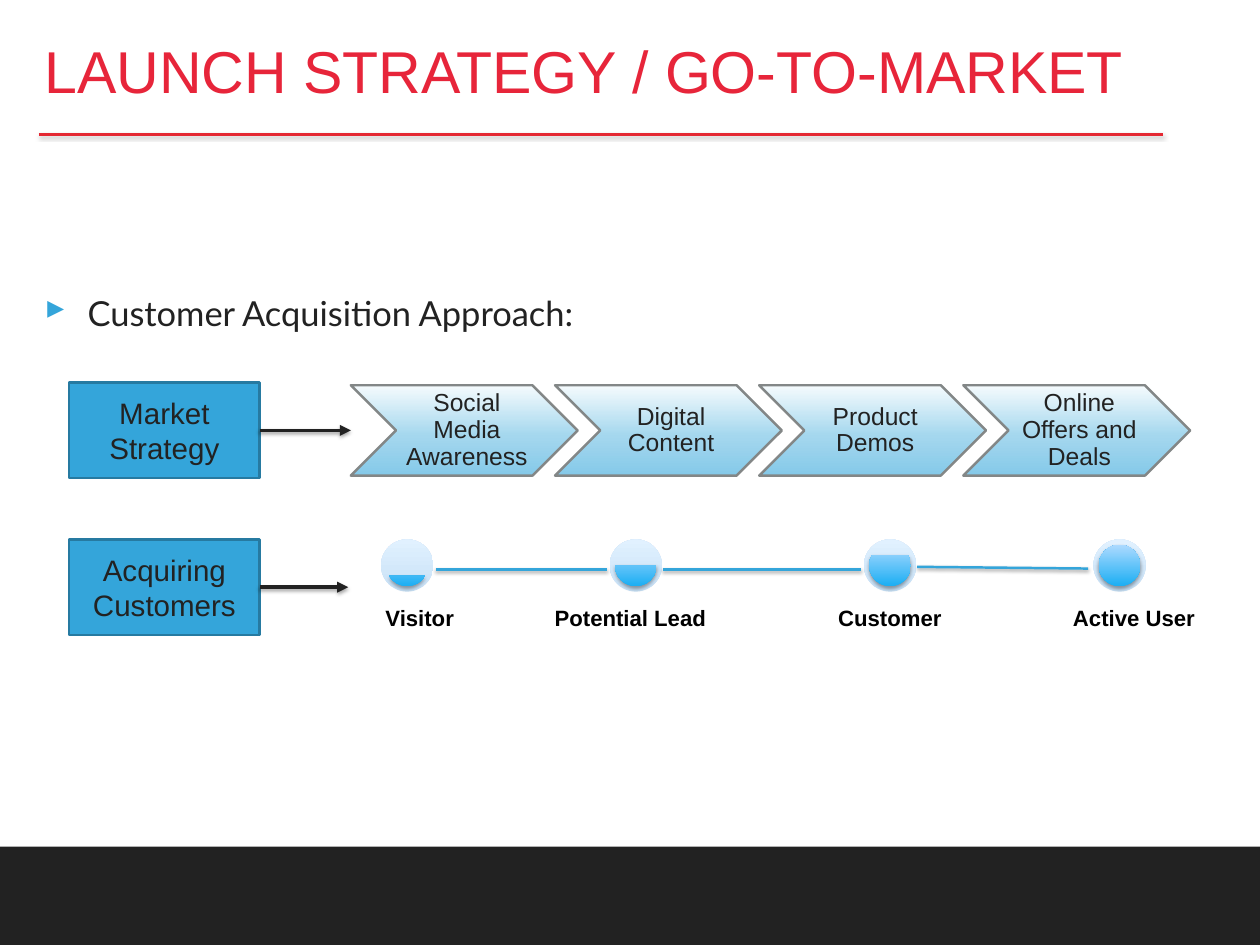
from lxml import etree
from pptx import Presentation
from pptx.dml.color import RGBColor
from pptx.enum.shapes import MSO_CONNECTOR, MSO_SHAPE
from pptx.enum.text import MSO_ANCHOR, PP_ALIGN
from pptx.oxml.ns import qn
from pptx.util import Inches, Pt

RECT, CHEVRON = MSO_SHAPE.RECTANGLE, MSO_SHAPE.CHEVRON
OVAL, CHORD = MSO_SHAPE.OVAL, MSO_SHAPE.CHORD
STRAIGHT = MSO_CONNECTOR.STRAIGHT
TOP, MIDDLE, BOTTOM = MSO_ANCHOR.TOP, MSO_ANCHOR.MIDDLE, MSO_ANCHOR.BOTTOM
LEFT, CENTER = PP_ALIGN.LEFT, PP_ALIGN.CENTER
RIGHT_SIDE = 3

INK = RGBColor(0x22, 0x22, 0x22)
BLACK = RGBColor(0, 0, 0)
RED = RGBColor(0xE7, 0x25, 0x3A)
RULE = RGBColor(0xE4, 0x28, 0x32)
BLUE = RGBColor(0x34, 0xA5, 0xDA)
NAVY = RGBColor(0x26, 0x7A, 0xA1)
GREY = RGBColor(0x83, 0x87, 0x87)
SKY = [(0, RGBColor(0xF5, 0xFB, 0xFD)), (56, RGBColor(0xA4, 0xD7, 0xEE)),
       (100, RGBColor(0x85, 0xC9, 0xE9))]
GLASS = [(0, RGBColor(0xC8, 0xE1, 0xF6)), (100, RGBColor(0xE1, 0xF1, 0xFF))]
WATER = [(0, RGBColor(0x1B, 0xAE, 0xF3)), (100, RGBColor(0xAD, 0xDA, 0xFF))]

CELL = Inches(0.1)          # the side of one square grid cell
COLS, ROWS = 142.2, 106.7
THIN = (0.6,) * 4


def grid(*cells):
    return [round(n * CELL) for n in cells]


def node(parent, tag, **attrs):
    return etree.SubElement(parent, qn(tag), {k: str(v) for k, v in attrs.items()})


def write(shape, text, size, color=INK, font="Arial", bold=False, align=CENTER,
          anchor=MIDDLE, space=1.0, pad=(1, 0.5, 1, 0.5), bullet=None):
    """Fill the shape with one paragraph; pad is left, top, right, bottom."""
    frame = shape.text_frame
    frame.word_wrap = True
    frame.vertical_anchor = anchor
    (frame.margin_left, frame.margin_top,
     frame.margin_right, frame.margin_bottom) = grid(*pad)
    par = frame.paragraphs[0]
    par.alignment, par.line_spacing = align, space
    if bullet:
        props = par._p.get_or_add_pPr()
        hang = grid(4.9)[0]
        props.set("marL", str(hang))
        props.set("indent", str(-hang))
        node(node(props, "a:buClr"), "a:srgbClr", val=BLUE)
        node(props, "a:buChar", char=bullet)
    run = par.add_run()
    run.text = text
    run.font.name, run.font.size, run.font.bold = font, Pt(size), bold
    run.font.color.rgb = color


def shade(shape, alpha=35, drop=1.8):
    """Give the shape a soft shadow straight below it."""
    props = shape._element.spPr
    effects = props.find(qn("a:effectLst"))
    if effects is None:
        effects = node(props, "a:effectLst")
    cast = node(effects, "a:outerShdw", blurRad=Pt(3.1), dist=Pt(drop),
                dir=90 * 60000, rotWithShape=0)
    node(node(cast, "a:srgbClr", val=BLACK), "a:alpha", val=alpha * 1000)


def blend(shape, stops, angle):
    """Fill with gradient stops; the angle runs clockwise."""
    shape.fill.gradient()
    grad = shape._element.spPr.find(qn("a:gradFill"))
    for child in list(grad):
        grad.remove(child)
    series = node(grad, "a:gsLst")
    for spot, color in stops:
        node(node(series, "a:gs", pos=spot * 1000), "a:srgbClr", val=color)
    node(grad, "a:lin", ang=angle * 60000, scaled=0)


class Board:
    def __init__(self, deck):
        self.shapes = deck.slides.add_slide(deck.slide_layouts[6]).shapes

    def form(self, kind, box, fill, edge=None, angle=270):
        """Add a preset shape; fill is a colour or a list of stops."""
        shape = self.shapes.add_shape(kind, *grid(*box))
        shape.shadow.inherit = False
        if isinstance(fill, list):
            blend(shape, fill, angle)
        else:
            shape.fill.solid()
            shape.fill.fore_color.rgb = fill
        if edge is None:
            shape.line.fill.background()
        else:
            shape.line.color.rgb = edge
            shape.line.width = Pt(2)
        return shape

    def label(self, box, text, size, **style):
        write(self.shapes.add_textbox(*grid(*box)), text, size, align=LEFT, **style)

    def line(self, start, end, color, width=2, source=None, arrow=False, **shadow):
        link = self.shapes.add_connector(STRAIGHT, *grid(*start, *end))
        if source is not None:
            link.begin_connect(source, RIGHT_SIDE)
        link.line.color.rgb = color
        link.line.width = Pt(width)
        if arrow:
            node(link.line._get_or_add_ln(), "a:tailEnd", type="triangle")
        shade(link, **shadow)

    def stage(self, top, text, tip):
        """Add a row's heading box with the arrow that leaves it."""
        box = self.form(RECT, (7.8, top, 21.5, 10.8), BLUE, NAVY)
        write(box, text, 24)
        mid = top + 5.4
        self.line((29.3, mid), (tip, mid), INK, 3, box, arrow=True)

    def step(self, left, text):
        shape = self.form(CHEVRON, (left, 43.5, 25.6, 10.2), SKY, GREY, angle=90)
        write(shape, text, 20, space=0.9, pad=(0.9, 0.3, 0.3, 0.3))

    def bead(self, left, tilt):
        """Add a round gauge; tilt is the angle where its level meets the rim."""
        self.form(OVAL, (left, 60.9, 5.9, 5.9), GLASS)
        level = self.form(CHORD, (left + 0.6, 61.5, 4.7, 4.7), WATER)
        level.adjustments[0] = tilt % 360 * 0.6
        level.adjustments[1] = (180 - tilt) * 0.6
        shade(level)


def main():
    deck = Presentation()
    deck.slide_width, deck.slide_height = grid(COLS, ROWS)
    board = Board(deck)

    board.form(RECT, (0, 95.6, COLS, ROWS - 95.6), INK)
    board.label((4.4, 4.5, 133.3, 7.9), "LAUNCH STRATEGY / GO-TO-MARKET", 48,
                color=RED, anchor=BOTTOM, space=0.8, pad=THIN)
    board.line((4.4, 15.2), (131.3, 15.2), RULE, alpha=38, drop=1.6)
    board.label((4.4, 32.4, 133.3, 6), "Customer Acquisition Approach:", 28,
                font="Lato", anchor=TOP, pad=THIN, bullet="▸")

    steps = ["Social Media Awareness", "Digital Content", "Product Demos",
             "Online Offers and Deals"]
    for i, text in enumerate(steps):
        board.step(39.6 + 23.04 * i, text)
    board.stage(43.2, "Market Strategy", 39.6)
    board.stage(60.9, "Acquiring Customers", 39.3)

    beads = [(43, 30, 43, "Visitor"), (68.8, 0, 62.1, "Potential Lead"),
             (97.5, -30, 94.1, "Customer"), (123.4, -90, 120.6, "Active User")]
    for left, tilt, start, text in beads:
        board.bead(left, tilt)
        board.label((start, 65.9, 20, 5.9), text, 18, color=BLACK, bold=True,
                    anchor=BOTTOM, space=0.9, pad=(0.5,) * 4)

    tracks = [((49.2, 64.3), (68.5, 64.3)), ((74.8, 64.3), (97.2, 64.3)),
              ((103.5, 64), (122.8, 64.2))]
    for start, end in tracks:
        board.line(start, end, BLUE, alpha=38, drop=1.6)

    deck.save("out.pptx")


if __name__ == "__main__":
    main()
